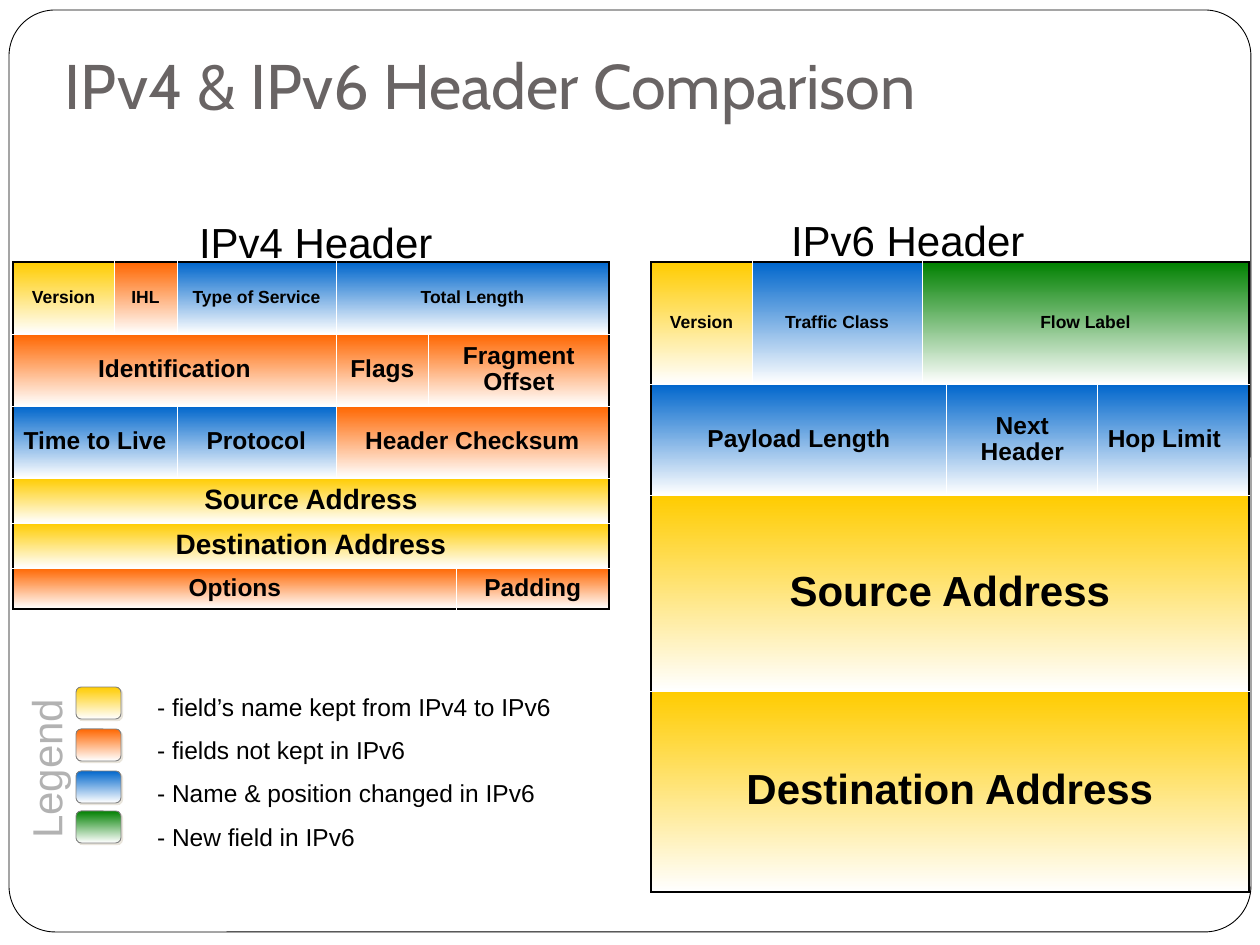
from lxml import etree
from pptx import Presentation
from pptx import util as u
from pptx.dml.color import RGBColor
from pptx.enum import shapes, text
from pptx.oxml import parse_xml
from pptx.oxml.ns import nsdecls, qn

PX = 914400 // 126
KEPT, DROPPED, CHANGED, NEW = "FFCC00", "FF6600", "0066CC", "008000"
BLACK, WHITE = "000000", "FFFFFF"
LEFT, CENTER = text.PP_ALIGN.LEFT, text.PP_ALIGN.CENTER

# Each row: height, font size, fields as (name, columns spanned, colour)
HEADERS = [
    {
        "title": "IPv4 Header", "title_at": (189, 212, 258, 60), "at": (13, 262),
        "cols": [101, 63, 159, 93, 28, 152],
        "rows": [
            (72, 10, [("Version", 1, KEPT), ("IHL", 1, DROPPED),
                      ("Type of Service", 1, CHANGED), ("Total Length", 3, CHANGED)]),
            (72, 14, [("Identification", 3, DROPPED), ("Flags", 1, DROPPED),
                      ("Fragment Offset", 2, DROPPED)]),
            (72, 14, [("Time to Live", 2, CHANGED), ("Protocol", 1, CHANGED),
                      ("Header Checksum", 3, DROPPED)]),
            (45, 16, [("Source Address", 6, KEPT)]),
            (45, 16, [("Destination Address", 6, KEPT)]),
            (41, 14, [("Options", 5, DROPPED), ("Padding", 1, DROPPED)]),
        ],
    },
    {
        "title": "IPv6 Header", "title_at": (781, 210, 258, 60), "at": (651, 262),
        "cols": [101, 170, 25, 151, 151],
        "rows": [
            (122, 10, [("Version", 1, KEPT), ("Traffic Class", 1, CHANGED),
                       ("Flow Label", 3, NEW)]),
            (111, 14, [("Payload Length", 3, CHANGED), ("Next Header", 1, CHANGED),
                       ("Hop Limit", 1, CHANGED)]),
            (196, 24, [("Source Address", 5, KEPT)]),
            (201, 24, [("Destination Address", 5, KEPT)]),
        ],
    },
]
LEFT_ALIGNED = {"Hop Limit"}
LEGEND = [
    (KEPT, "- field’s name kept from IPv4 to IPv6"),
    (DROPPED, "- fields not kept in IPv6"),
    (CHANGED, "- Name & position changed in IPv6"),
    (NEW, "- New field in IPv6"),
]
SWATCH_TOPS = [687, 729, 771, 811]


def px(*values):
    return [u.Emu(v * PX) for v in values]


def rgb(value):
    return RGBColor.from_string(value)


def fade(fill, colour):
    """Fill from the colour at the top to white at the bottom."""
    fill.gradient()
    fill.gradient_angle = 270
    for stop, value, position in zip(fill.gradient_stops, (colour, WHITE), (0, 1)):
        stop.color.rgb = rgb(value)
        stop.position = position


def style(p, size, colour=BLACK, name="Arial", bold=False, align=LEFT):
    p.alignment = align
    f = p.font
    f.size, f.name, f.bold = u.Pt(size), name, bold
    f.color.rgb = rgb(colour)


def set_borders(cell, outer):
    """Draw the sides on the table's edge in black and the others in thin white."""
    tc_pr = cell._tc.get_or_add_tcPr()
    for i, side in enumerate("LRTB"):
        colour, width = (BLACK, 1.08) if side in outer else (WHITE, 0.45)
        tc_pr.insert(i, parse_xml(
            f'<a:ln{side} {nsdecls("a")} w="{u.Pt(width)}"><a:solidFill>'
            f'<a:srgbClr val="{colour}"/></a:solidFill></a:ln{side}>'))


def add_text(s, at, lines, size, colour=BLACK, wrap=True):
    box = s.shapes.add_textbox(*px(*at))
    tf = box.text_frame
    tf.word_wrap = wrap
    tf.auto_size = text.MSO_AUTO_SIZE.SHAPE_TO_FIT_TEXT
    tf.margin_left, tf.margin_right, tf.margin_top, tf.margin_bottom = px(10, 10, 5, 5)
    tf.text = "\n".join(lines)
    for p in tf.paragraphs:
        style(p, size, colour)
    return box


def add_header(s, header):
    cols, rows = header["cols"], header["rows"]
    size = sum(cols), sum(row[0] for row in rows)
    table = s.shapes.add_table(len(rows), len(cols), *px(*header["at"], *size)).table
    table.first_row = table.horz_banding = False
    for column, width in zip(table.columns, cols):
        column.width = px(width)[0]
    for r, (height, font_size, fields) in enumerate(rows):
        table.rows[r].height = px(height)[0]
        c = 0
        for name, span, colour in fields:
            end = c + span
            outer = {side for side, on_edge in (
                ("L", c == 0), ("R", end == len(cols)),
                ("T", r == 0), ("B", r == len(rows) - 1)) if on_edge}
            cell = table.cell(r, c)
            if span > 1:
                cell.merge(table.cell(r, end - 1))
            for k in range(c, end):
                fade(table.cell(r, k).fill, colour)
                set_borders(table.cell(r, k), outer)
            cell.margin_left, cell.margin_right, cell.margin_top, cell.margin_bottom = px(10, 10, 6, 6)
            cell.vertical_anchor = text.MSO_ANCHOR.MIDDLE
            cell.text = name
            p = cell.text_frame.paragraphs[0]
            p.line_spacing = 0.95
            style(p, font_size, bold=True, align=LEFT if name in LEFT_ALIGNED else CENTER)
            c = end
    add_text(s, header["title_at"], [header["title"]], 24, wrap=False)


def add_swatch(s, top, colour):
    sp = s.shapes.add_shape(shapes.MSO_SHAPE.ROUNDED_RECTANGLE, *px(76, top, 45, 32))
    sp.shadow.inherit = False
    fade(sp.fill, colour)
    sp.line.color.rgb = rgb("808080")
    sp.line.width = u.Pt(0.5)
    effects = sp.element.spPr.find(qn("a:effectLst"))
    shadow = etree.SubElement(effects, qn("a:outerShdw"), dist=str(u.Pt(1.4)), dir="2700000")
    etree.SubElement(shadow, qn("a:srgbClr"), val="E9E5DC")


def add_legend(s):
    for top, (colour, _) in zip(SWATCH_TOPS, LEGEND):
        add_swatch(s, top, colour)
    box = add_text(s, (118, 689, 473, 169), [label for _, label in LEGEND], 14)
    for i, p in enumerate(box.text_frame.paragraphs):
        p.line_spacing = 0.95
        p.space_before = u.Pt(8.8 if i else 0)
        p._p.get_or_add_pPr().set("marL", str(29 * PX))
    caption = add_text(s, (-38, 733, 173, 59), ["Legend"], 24, "B2B2B2")
    caption.text_frame.paragraphs[0].line_spacing = 0.95
    caption.rotation = 270


def main():
    prs = Presentation()
    prs.slide_width, prs.slide_height = px(1260, 945)
    s = prs.slides.add_slide(prs.slide_layouts[5])

    title = s.shapes.title
    title.left, title.top, title.width, title.height = px(52, 43, 1186, 92)
    tf = title.text_frame
    tf.vertical_anchor = text.MSO_ANCHOR.BOTTOM
    tf.margin_left, tf.margin_right, tf.margin_top, tf.margin_bottom = px(13, 13, 6, 13)
    tf.text = "IPv4 & IPv6 Header Comparison"
    style(tf.paragraphs[0], 36, "696464", "Cabin")

    frame = s.shapes.add_shape(shapes.MSO_SHAPE.ROUNDED_RECTANGLE, *px(9, 10, 1242, 922))
    frame.shadow.inherit = False
    frame.adjustments[0] = 0.05
    frame.fill.solid()
    frame.fill.fore_color.rgb = rgb(WHITE)
    frame.line.color.rgb = rgb(BLACK)
    frame.line.width = u.Pt(0.5)
    title.element.addprevious(frame.element)

    for header in HEADERS:
        add_header(s, header)
    add_legend(s)
    prs.save("out.pptx")


if __name__ == "__main__":
    main()
